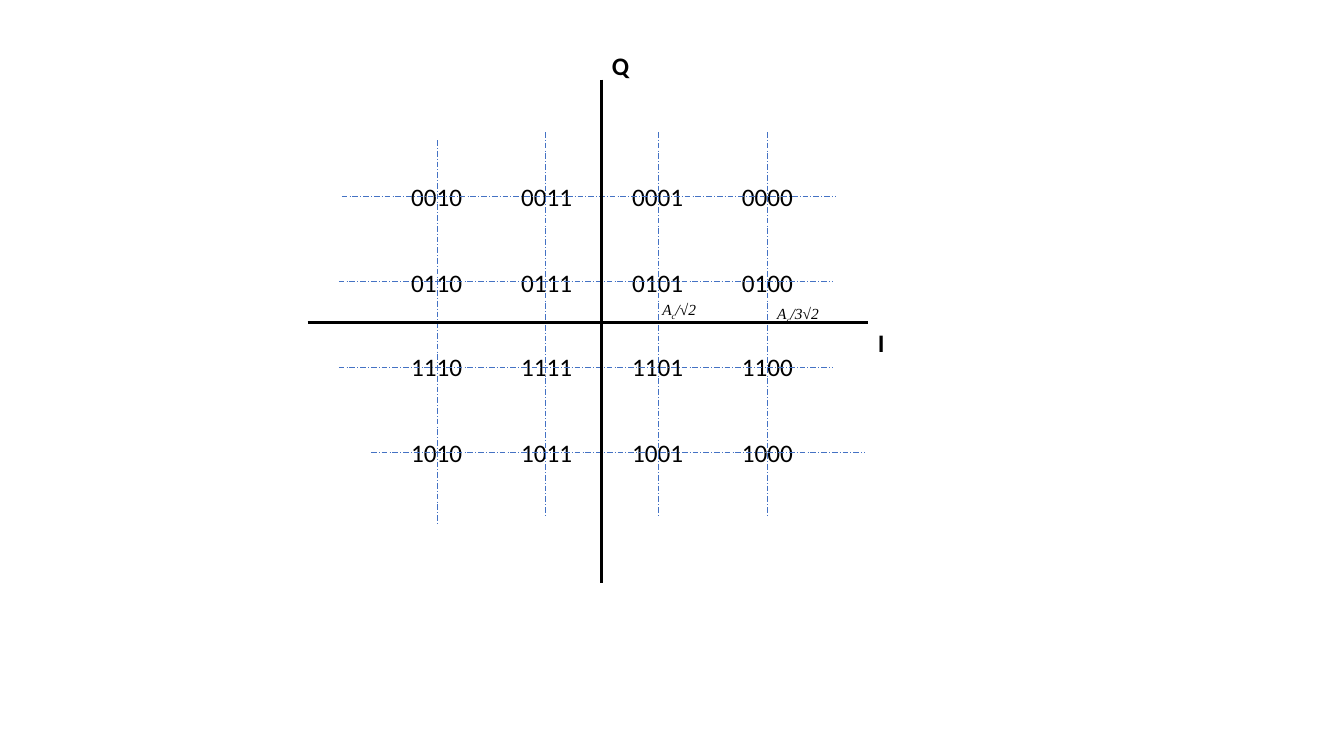
from lxml import etree
from pptx import Presentation
from pptx.dml.color import RGBColor
from pptx.enum.dml import MSO_LINE
from pptx.enum.shapes import MSO_CONNECTOR
from pptx.enum.text import MSO_AUTO_SIZE
from pptx.oxml.ns import qn
from pptx.util import Emu, Pt

STRAIGHT = MSO_CONNECTOR.STRAIGHT
DASH_DOT = MSO_LINE.LONG_DASH_DOT
FIT_TEXT = MSO_AUTO_SIZE.SHAPE_TO_FIT_TEXT
BLANK = 6


def px(n):
    """Turn px (100 to the inch) into EMU."""
    return Emu(n * 9144)


def color(code):
    return RGBColor.from_string(code)


class Board:
    ink = "000000"
    blue = "4472C4"
    sans = "Calibri"
    serif = "Times New Roman"

    def __init__(self, slide):
        self.slide = slide

    def box(self, x, y, w, h, wrap=True):
        shape = self.slide.shapes.add_textbox(px(x), px(y), px(w), px(h))
        frame = shape.text_frame
        frame.word_wrap = wrap
        frame.auto_size = FIT_TEXT
        return frame

    def style(self, run, face, size):
        font = run.font
        font.name, font.size = face, Pt(size)
        font.color.rgb = color(self.ink)
        return font

    def label(self, text, x, y, w, bold=None):
        frame = self.box(x, y, w, 40)
        frame.text = text
        self.style(frame.paragraphs[0].runs[0], self.sans, 18).bold = bold

    def level(self, tail, x, y, w):
        """Amplitude A with subscript c, then the tail."""
        para = self.box(x, y, w, 29, wrap=False).paragraphs[0]
        for text in ("A", "c", tail):
            run = para.add_run()
            run.text = text
            self.style(run, self.serif, 11).italic = True
            if text == "c":
                run._r.get_or_add_rPr().set("baseline", "-25000")

    def line(self, x1, y1, x2, y2, hue, width, dash=None):
        link = self.slide.shapes.add_connector(
            STRAIGHT, px(x1), px(y1), px(x2), px(y2))
        link.line.color.rgb = color(hue)
        link.line.width = Pt(width)
        if dash:
            link.line.dash_style = dash
        etree.SubElement(link._element.spPr, qn("a:effectLst"))

    def guide(self, x1, y1, x2, y2):
        self.line(x1, y1, x2, y2, self.blue, 0.5, DASH_DOT)

    def axis(self, x1, y1, x2, y2):
        self.line(x1, y1, x2, y2, self.ink, 2.25)


def main():
    deck = Presentation()
    deck.slide_width, deck.slide_height = px(1333), px(750)
    board = Board(deck.slides.add_slide(deck.slide_layouts[BLANK]))

    # Gray-coded symbols: row bits, then column bits
    for row, high in enumerate(("00", "01", "11", "10")):
        for col, low in enumerate(("10", "11", "01", "00")):
            board.label(high + low, 398 + col * 219 // 2,
                        175 + (row * 169 + 1) // 2, 71)

    # Guides through the symbols
    for x, top in ((434, 139), (541, 131), (653, 131), (761, 131)):
        board.guide(x, top, x, top + 380)
    for left, y in ((339, 195), (336, 279), (336, 364), (368, 449)):
        board.guide(left, y, left + 490, y)

    # Axes and their names
    board.axis(597, 79, 597, 578)
    board.axis(305, 320, 861, 320)
    board.label("I", 861, 320, 46, bold=True)
    board.label("Q", 597, 45, 46, bold=True)

    # Amplitude levels
    board.level("/√2", 647, 293, 55)
    board.level("/3√2", 761, 297, 62)

    deck.save("out.pptx")


if __name__ == "__main__":
    main()
